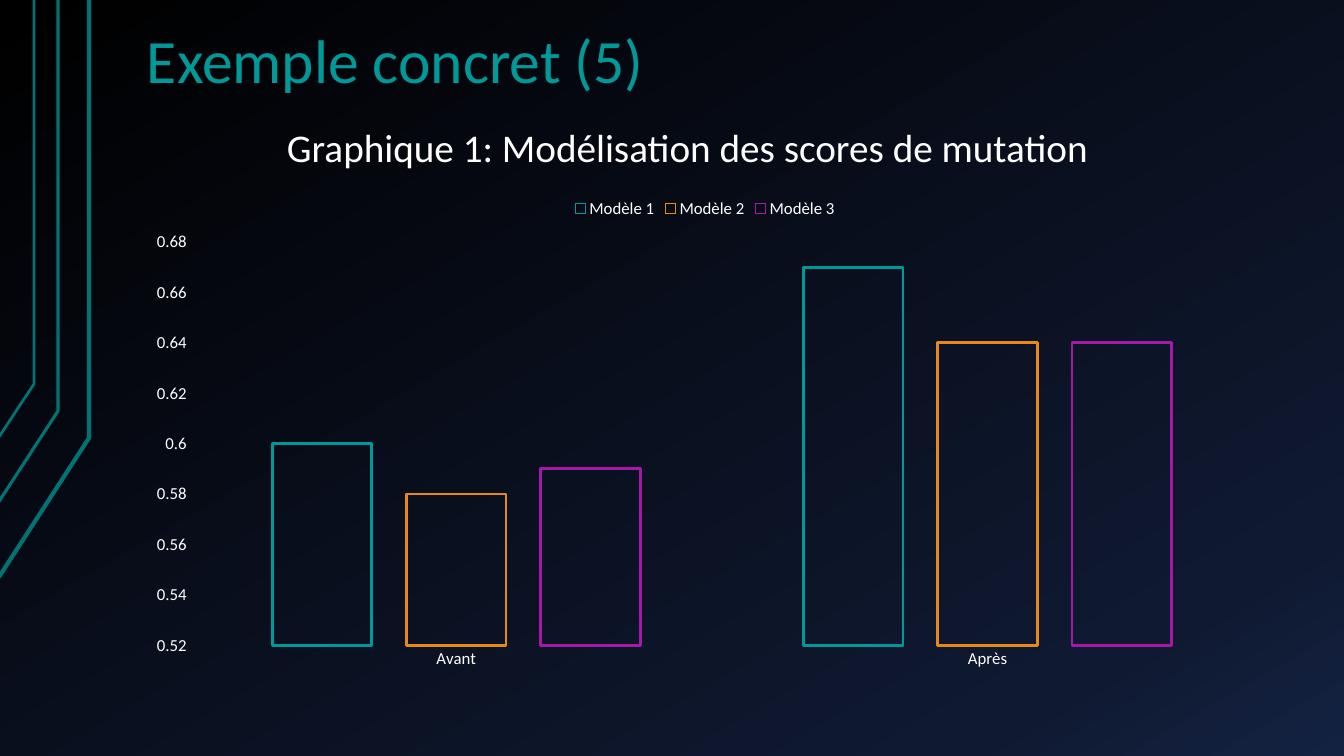
import copy

import pptx
import pptx.chart.data
import pptx.dml.color
import pptx.enum.chart
import pptx.enum.text
import pptx.oxml.ns
import pptx.util

PX = 914400 / 100.8
FONT = "Calibri"
RGBColor = pptx.dml.color.RGBColor
BLACK = RGBColor(0x00, 0x00, 0x00)
NIGHT = RGBColor(0x0F, 0x19, 0x31)
NAVY = RGBColor(0x14, 0x22, 0x42)
DARK_TEAL = RGBColor(0x00, 0x73, 0x73)
TEAL = RGBColor(0x00, 0x99, 0x99)
ORANGE = RGBColor(0xE9, 0x89, 0x15)
PURPLE = RGBColor(0xA4, 0x19, 0xA7)
WHITE = RGBColor(0xFF, 0xFF, 0xFF)


def px(*lengths):
    return [pptx.util.Emu(round(length * PX)) for length in lengths]


def style_font(font, size, color):
    font.name = FONT
    font.size = pptx.util.Pt(size)
    font.color.rgb = color


presentation = pptx.Presentation()
presentation.slide_width, presentation.slide_height = px(1344, 756)
slide = presentation.slides.add_slide(presentation.slide_layouts[6])

# Background gradient with three stops
background = slide.background.fill
background.gradient()
background.gradient_angle = 300
stop_list = slide.element.find(".//" + pptx.oxml.ns.qn("a:gsLst"))
stop_list.append(copy.deepcopy(stop_list[-1]))
for stop, position, color in zip(background.gradient_stops, (0, 0.85, 1), (BLACK, NIGHT, NAVY)):
    stop.position = position
    stop.color.rgb = color

# Bent lines along the left edge: end, bend, width in points
for end, bend, width in (
    ((-1, 577), (89, 438), 3),
    ((-2, 503), (58, 411), 2.25),
    ((-1, 437), (34, 384), 2),
):
    builder = slide.shapes.build_freeform(*end, scale=PX)
    builder.add_line_segments([bend, (bend[0], 0)], close=False)
    bent_line = builder.convert_to_shape()
    bent_line.shadow.inherit = False
    bent_line.fill.background()
    bent_line.line.color.rgb = DARK_TEAL
    bent_line.line.width = pptx.util.Pt(width)

# Title and chart heading
for text, box, size, color, anchor, spacing, inset in (
    ("Exemple concret (5)", (134, -25, 1210, 129), 44, TEAL,
     pptx.enum.text.MSO_ANCHOR.BOTTOM, 0.9, 13),
    ("Graphique 1: Modélisation des scores de mutation", (277, 117, 983, 57), 28, WHITE,
     pptx.enum.text.MSO_ANCHOR.TOP, 1.0, 10),
):
    frame = slide.shapes.add_textbox(*px(*box)).text_frame
    frame.word_wrap = True
    frame.vertical_anchor = anchor
    frame.margin_left, frame.margin_right = px(inset, inset)
    frame.margin_top, frame.margin_bottom = px(inset // 2 + 1, inset // 2 + 1)
    paragraph = frame.paragraphs[0]
    paragraph.line_spacing = spacing
    run = paragraph.add_run()
    run.text = text
    style_font(run.font, size, color)

# Mutation score chart
scores = pptx.chart.data.CategoryChartData()
scores.categories = ["Avant", "Après"]
scores.add_series("Modèle 1", (0.6, 0.67))
scores.add_series("Modèle 2", (0.58, 0.64))
scores.add_series("Modèle 3", (0.59, 0.64))
chart = slide.shapes.add_chart(
    pptx.enum.chart.XL_CHART_TYPE.COLUMN_CLUSTERED, *px(134, 187, 1142, 492), scores
).chart
chart.has_title = False
style_font(chart.font, 10, WHITE)

plot = chart.plots[0]
plot.gap_width = 164
plot.overlap = -35
plot.vary_by_categories = False
for series, color in zip(plot.series, (TEAL, ORANGE, PURPLE)):
    series.format.fill.background()
    series.format.line.color.rgb = color
    series.format.line.width = pptx.util.Pt(2)

# Axes and legend
for axis in (chart.category_axis, chart.value_axis):
    axis.has_major_gridlines = False
    axis.major_tick_mark = pptx.enum.chart.XL_TICK_MARK.NONE
    axis.minor_tick_mark = pptx.enum.chart.XL_TICK_MARK.NONE
    axis.format.line.fill.background()
    style_font(axis.tick_labels.font, 12, WHITE)
chart.value_axis.minimum_scale = 0.52
chart.value_axis.maximum_scale = 0.68
chart.value_axis.major_unit = 0.02
chart.has_legend = True
chart.legend.position = pptx.enum.chart.XL_LEGEND_POSITION.TOP
chart.legend.include_in_layout = False
style_font(chart.legend.font, 12, WHITE)

presentation.save("out.pptx")
